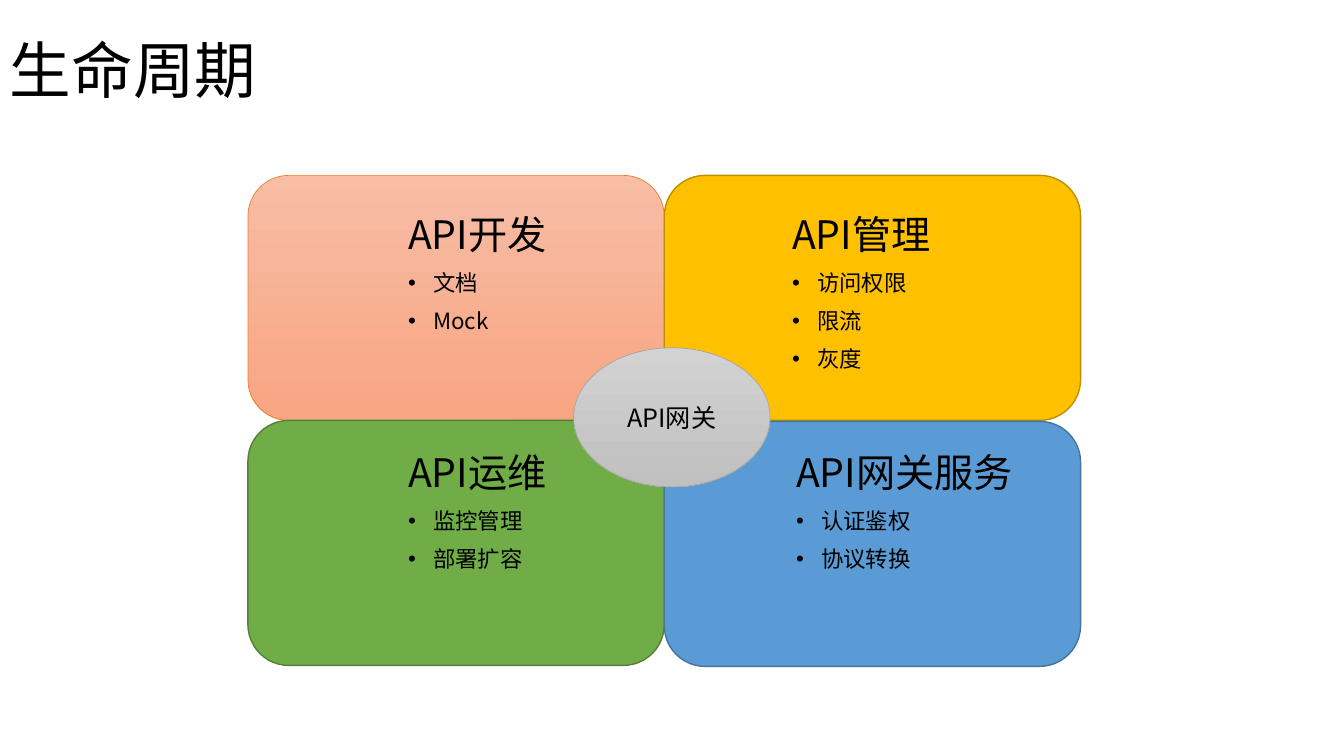
import pptx
import pptx.dml.color
import pptx.enum.shapes
import pptx.enum.text
import pptx.oxml.ns
import pptx.util
from lxml import etree

Pt = pptx.util.Pt
SHAPES = pptx.enum.shapes.MSO_SHAPE
ANCHOR = pptx.enum.text.MSO_ANCHOR
ALIGN = pptx.enum.text.PP_ALIGN

TYPEFACE = "Noto Sans CJK SC"
CARD_WIDTH, CARD_HEIGHT = 297.4, 175
CARDS_LEFT, CARDS_TOP = 177.1, 125.3
BULLET_INDENT = 18
LIST_SPACING = {"line_spacing": 0.9, "space_before": Pt(10)}

# column, row, fill, outline, outline width, vertical nudge,
# list box (left, top, width), heading, items
STAGES = [
    (0, 0, ("F7BDA5", "F8A582"), "ED7D31", 0.5, 0,
     (284.4, 150.5, 146), "API开发", ["文档", "Mock"]),
    (1, 0, ("FFC000",), "BD8E00", 1, 0,
     (558.7, 150.5, 187), "API管理", ["访问权限", "限流", "灰度"]),
    (0, 1, ("70AD47",), "538035", 1, 0,
     (284.4, 320.4, 140), "API运维", ["监控管理", "部署扩容"]),
    (1, 1, ("5B9BD5",), "43739E", 1, 0.7,
     (561.6, 320.4, 179), "API网关服务", ["认证鉴权", "协议转换"]),
]


def set_all(target, values):
    """Set every attribute named in values on target."""
    for name, value in values.items():
        setattr(target, name, value)


def colour(hex_text):
    """Turn a hex string into an RGB colour."""
    return pptx.dml.color.RGBColor.from_string(hex_text)


def write(paragraph, words, size, **layout):
    """Put one styled run into a paragraph and lay the paragraph out."""
    run = paragraph.add_run()
    run.text = words
    set_all(run.font, {"size": Pt(size), "name": TYPEFACE})
    run.font.color.rgb = colour("000000")
    east_asian = etree.SubElement(run.font._element, pptx.oxml.ns.qn("a:ea"))
    east_asian.set("typeface", TYPEFACE)
    set_all(paragraph, layout)


def add_bullet(paragraph):
    """Give a paragraph a hanging round bullet."""
    properties = paragraph._p.get_or_add_pPr()
    properties.set("marL", str(Pt(BULLET_INDENT)))
    properties.set("indent", str(-Pt(BULLET_INDENT)))
    font = etree.SubElement(properties, pptx.oxml.ns.qn("a:buFont"))
    font.set("typeface", "Arial")
    etree.SubElement(properties, pptx.oxml.ns.qn("a:buChar")).set("char", "•")


def add_panel(slide, kind, box, fills, outline, weight):
    """Draw a preset shape with a solid fill or a top-down gradient."""
    panel = slide.shapes.add_shape(kind, *map(Pt, box))
    panel.shadow.inherit = False
    if len(fills) == 1:
        panel.fill.solid()
        panel.fill.fore_color.rgb = colour(fills[0])
    else:
        panel.fill.gradient()
        panel.fill.gradient_angle = 270
        for stop, shade in zip(panel.fill.gradient_stops, fills):
            stop.color.rgb = colour(shade)
    panel.line.color.rgb = colour(outline)
    panel.line.width = Pt(weight)
    return panel


def add_text_frame(slide, box, anchor):
    """Add a wrapping text box and return its frame."""
    frame = slide.shapes.add_textbox(*map(Pt, box)).text_frame
    set_all(frame, {"word_wrap": True, "vertical_anchor": anchor})
    return frame


def add_list(slide, box, heading, items):
    """Write a heading with its bulleted items below."""
    frame = add_text_frame(slide, box, ANCHOR.TOP)
    write(frame.paragraphs[0], heading, 28, **LIST_SPACING)
    for item in items:
        paragraph = frame.add_paragraph()
        write(paragraph, item, 16, **LIST_SPACING)
        add_bullet(paragraph)


def add_stage(slide, column, row, fills, outline, weight, nudge,
              list_box, heading, items):
    """Draw one card of the two-by-two grid with its list."""
    card = (CARDS_LEFT + column * CARD_WIDTH,
            CARDS_TOP + row * CARD_HEIGHT + nudge, CARD_WIDTH, CARD_HEIGHT)
    add_panel(slide, SHAPES.ROUNDED_RECTANGLE, card, fills, outline, weight)
    add_list(slide, (*list_box, 128), heading, items)


def add_gateway(slide):
    """Draw the gateway ellipse over the middle of the grid."""
    gateway = add_panel(slide, SHAPES.OVAL, (409.7, 248.4, 140.4, 99.4),
                        ("D2D2D2", "C0C0C0"), "A5A5A5", 0.5)
    gateway.text_frame.vertical_anchor = ANCHOR.MIDDLE
    write(gateway.text_frame.paragraphs[0], "API网关", 18,
          alignment=ALIGN.CENTER)


def main():
    """Build the life cycle slide and save it."""
    deck = pptx.Presentation()
    set_all(deck, {"slide_width": Pt(960), "slide_height": Pt(540)})
    slide = deck.slides.add_slide(deck.slide_layouts[6])
    title = add_text_frame(slide, (0, 0, 828, 104.4), ANCHOR.MIDDLE)
    write(title.paragraphs[0], "生命周期", 44, line_spacing=0.9)
    for stage in STAGES:
        add_stage(slide, *stage)
    add_gateway(slide)
    deck.save("out.pptx")


main()
